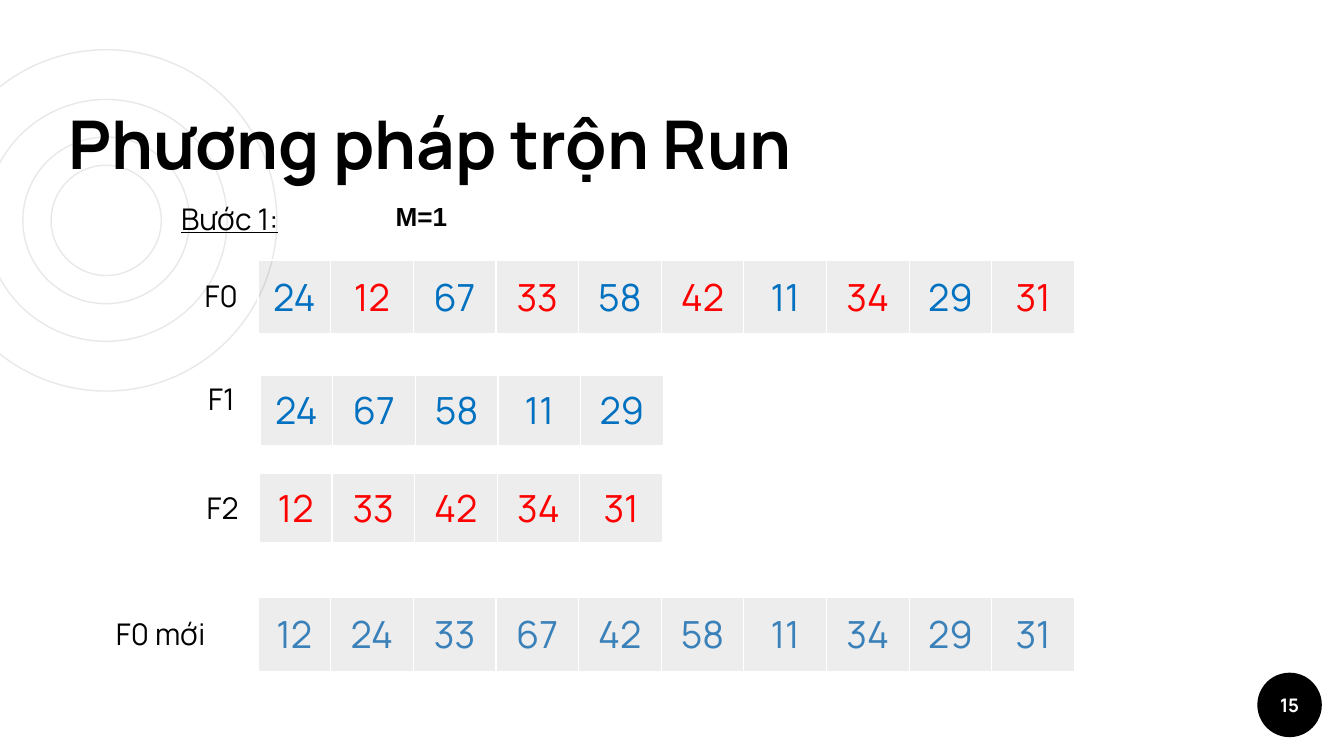
from lxml.etree import SubElement
from pptx import Presentation
from pptx.dml.color import RGBColor
from pptx.enum.shapes import MSO_SHAPE
from pptx.enum.text import MSO_ANCHOR, PP_ALIGN
from pptx.oxml import parse_xml
from pptx.oxml.ns import nsdecls, qn
from pptx.util import Emu, Pt

PX = 4572  # 200 px to the inch
BLACK, WHITE, RING = "000000", "FFFFFF", "E8E8E8"
BLUE, RED, MERGED = "0070C0", "FF0000", "3A81BA"


def px(n):
    return Emu(n * PX)


def rgb(color):
    return RGBColor.from_string(color)


class Deck:
    font = "Manrope"

    def __init__(self, width, height):
        self.prs = Presentation()
        self.prs.slide_width, self.prs.slide_height = px(width), px(height)
        self.s = self.prs.slides.add_slide(self.prs.slide_layouts[6])

    def style(self, p, size, color=BLACK, bold=False, underline=False, font=None):
        f = p.font
        f.name, f.size, f.bold, f.underline = font or self.font, Pt(size), bold, underline
        f.color.rgb = rgb(color)

    def circle(self, cx, cy, d, fill=None, line=None):
        sp = self.s.shapes.add_shape(
            MSO_SHAPE.OVAL, px(cx - d // 2), px(cy - d // 2), px(d), px(d))
        sp.shadow.inherit = False
        if fill:
            sp.fill.solid()
            sp.fill.fore_color.rgb = rgb(fill)
        else:
            sp.fill.background()
        if line:
            sp.line.color.rgb = rgb(line)
            sp.line.width = Pt(0.75)
        else:
            sp.line.fill.background()

    def text(self, x, y, w, h, text, size, wrap=True, anchor=MSO_ANCHOR.TOP,
             align=PP_ALIGN.LEFT, pad=10, **style):
        tf = self.s.shapes.add_textbox(px(x), px(y), px(w), px(h)).text_frame
        tf.word_wrap, tf.vertical_anchor = wrap, anchor
        tf.margin_left = tf.margin_right = px(20)
        tf.margin_top = tf.margin_bottom = px(pad)
        p = tf.paragraphs[0]
        p.text, p.alignment = text, align
        self.style(p, size, **style)

    def number_row(self, x, y, h, numbers, colors):
        """One-row table; the colours repeat along the row."""
        widths = [108] + [123] * (len(numbers) - 1)
        table = self.s.shapes.add_table(
            1, len(numbers), px(x), px(y), px(sum(widths)), px(h)).table
        table.first_row = table.horz_banding = False
        for i, (number, width) in enumerate(zip(numbers, widths)):
            table.columns[i].width = px(width)
            cell = table.cell(0, i)
            cell.margin_left = cell.margin_right = px(20)
            cell.margin_top = cell.margin_bottom = px(14)
            cell.vertical_anchor = MSO_ANCHOR.MIDDLE
            self.fill_cell(cell)
            p = cell.text_frame.paragraphs[0]
            p.text, p.alignment = str(number), PP_ALIGN.CENTER
            self.style(p, 20, colors[i % len(colors)])

    def fill_cell(self, cell):
        """Faint black fill with thin white borders."""
        cell.fill.solid()
        cell.fill.fore_color.rgb = rgb(BLACK)
        tcPr = cell._tc.get_or_add_tcPr()
        SubElement(tcPr.find(".//" + qn("a:srgbClr")), qn("a:alpha"), val="7000")
        for i, side in enumerate("LRTB"):
            tcPr.insert(i, parse_xml(
                f'<a:ln{side} {nsdecls("a")} w="{Pt(0.75)}"><a:solidFill>'
                f'<a:srgbClr val="{WHITE}"/></a:solidFill></a:ln{side}>'))


def main():
    deck = Deck(2000, 1125)
    for d in (508, 248, 360, 164):
        deck.circle(158, 328, d, line=RING)
    deck.circle(1919, 1049, 96, fill=BLACK)
    deck.text(82, 142, 1142, 150, "Phương pháp trộn Run", 36,
              anchor=MSO_ANCHOR.BOTTOM, pad=20, bold=True)
    deck.text(1871, 1001, 96, 96, "15", 10, anchor=MSO_ANCHOR.MIDDLE,
              align=PP_ALIGN.CENTER, pad=20, color=WHITE, bold=True)

    deck.text(250, 289, 192, 74, "Bước 1:", 16, underline=True)
    deck.text(569, 288, 118, 114, "M=1", 14, wrap=False, bold=True, font="Arial")

    source = [24, 12, 67, 33, 58, 42, 11, 34, 29, 31]
    merged = [12, 24, 33, 67, 42, 58, 11, 34, 29, 31]
    deck.number_row(384, 387, 110, source, [BLUE, RED])
    deck.number_row(387, 559, 104, source[::2], [BLUE])
    deck.number_row(386, 704, 104, source[1::2], [RED])
    deck.number_row(384, 889, 110, merged, [MERGED])
    for x, y, label in ((285, 404, "F0"), (290, 557, "F1"),
                        (288, 719, "F2"), (153, 907, "F0 mới")):
        deck.text(x, y, 192, 74, label, 16)
    deck.prs.save("out.pptx")


if __name__ == "__main__":
    main()
